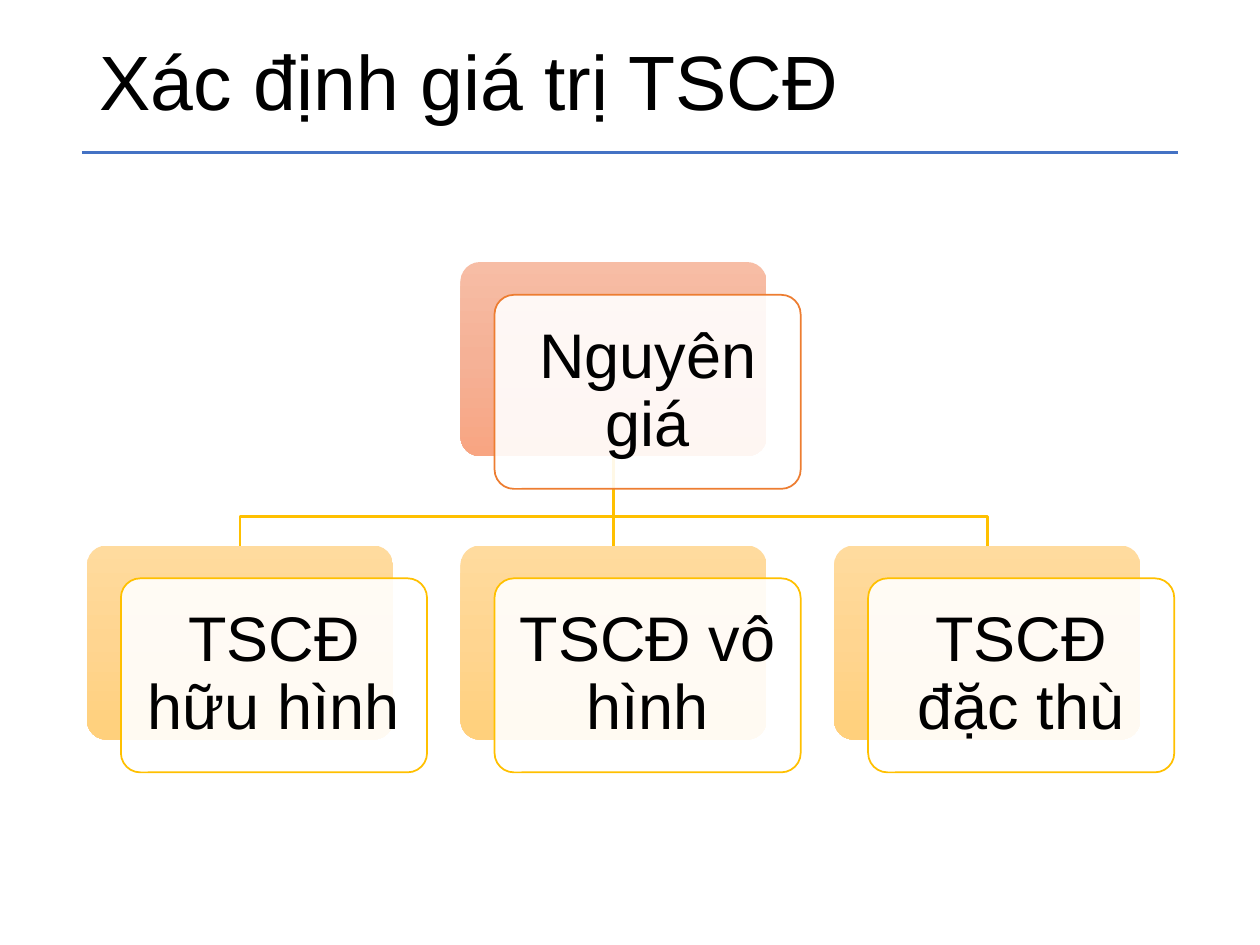
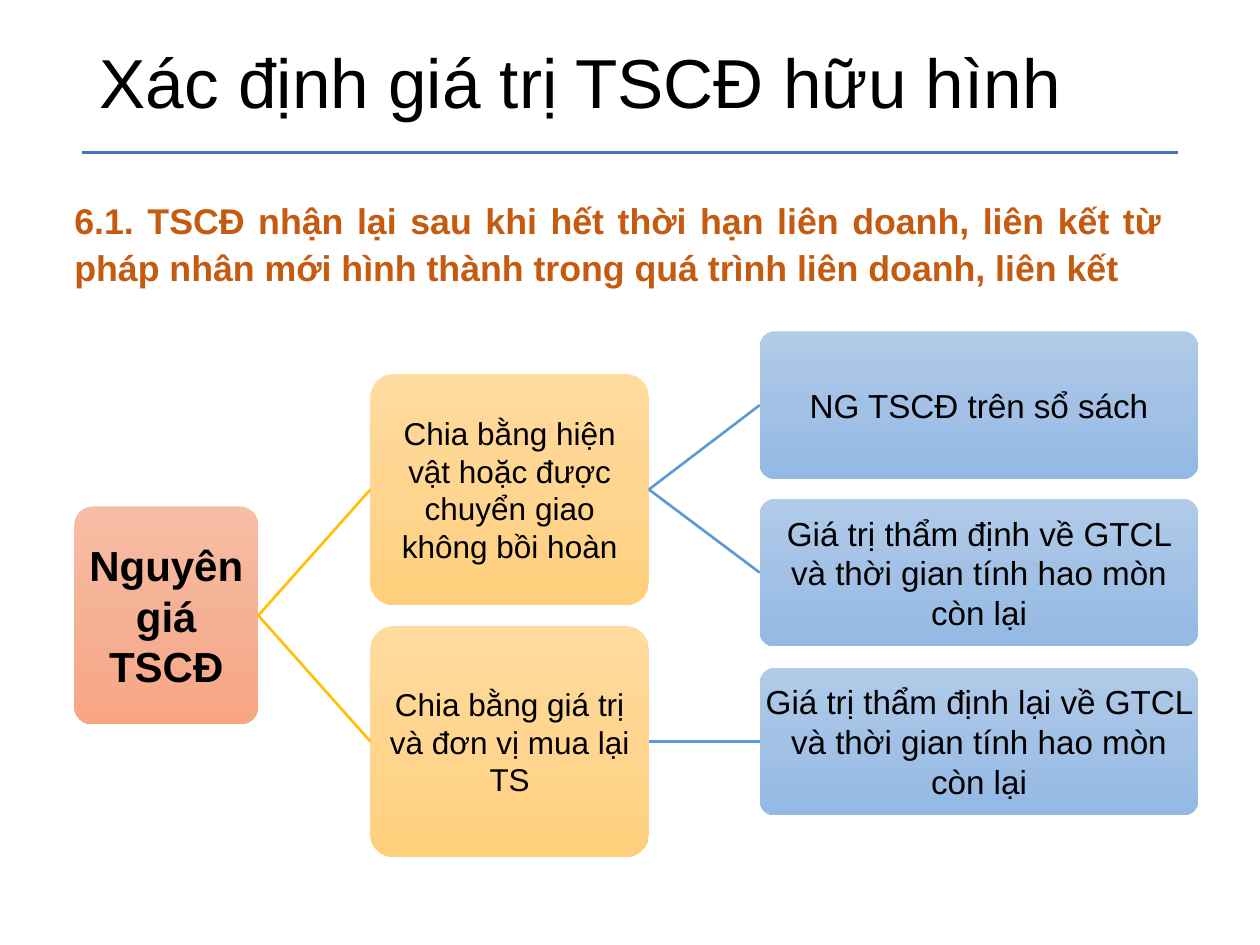
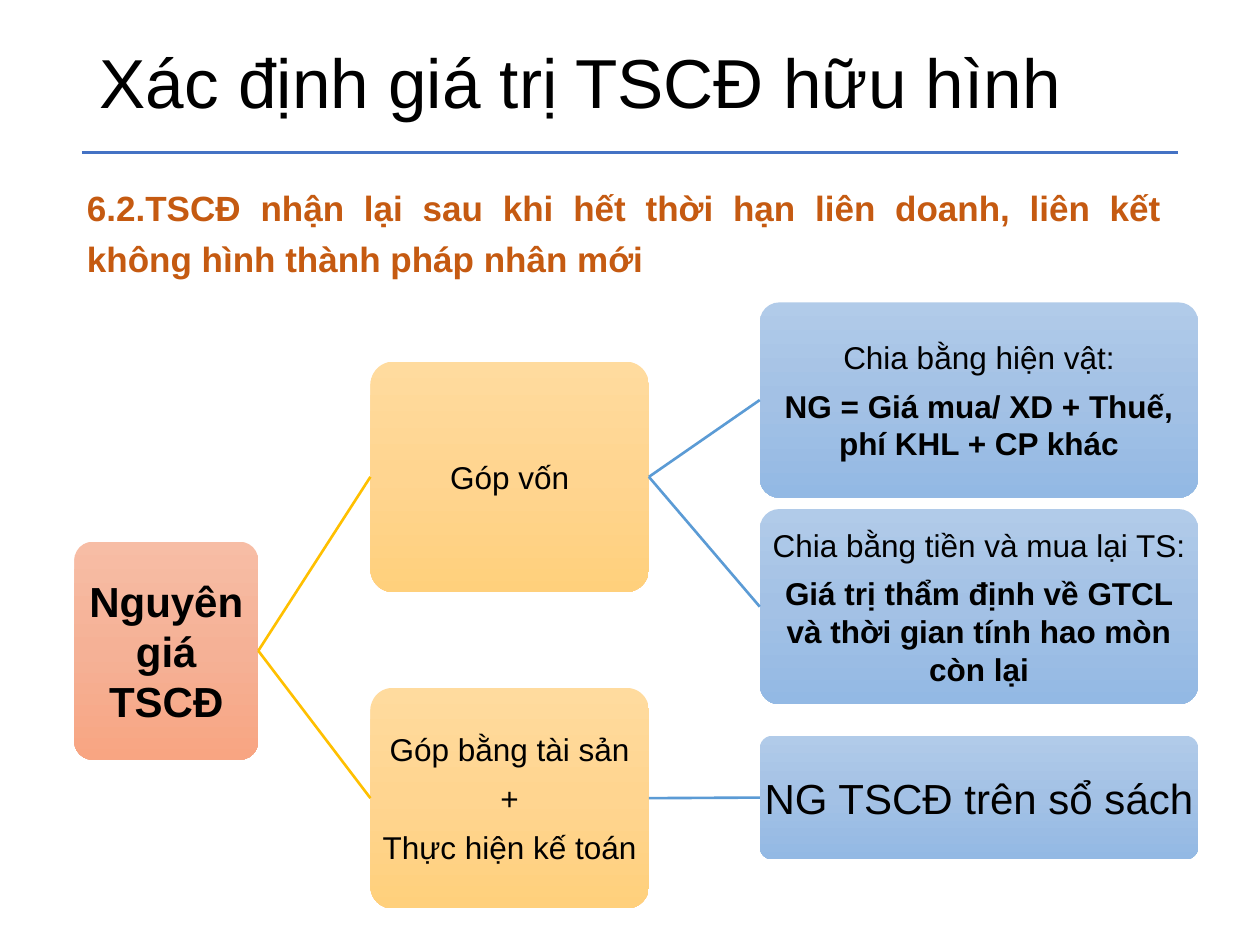
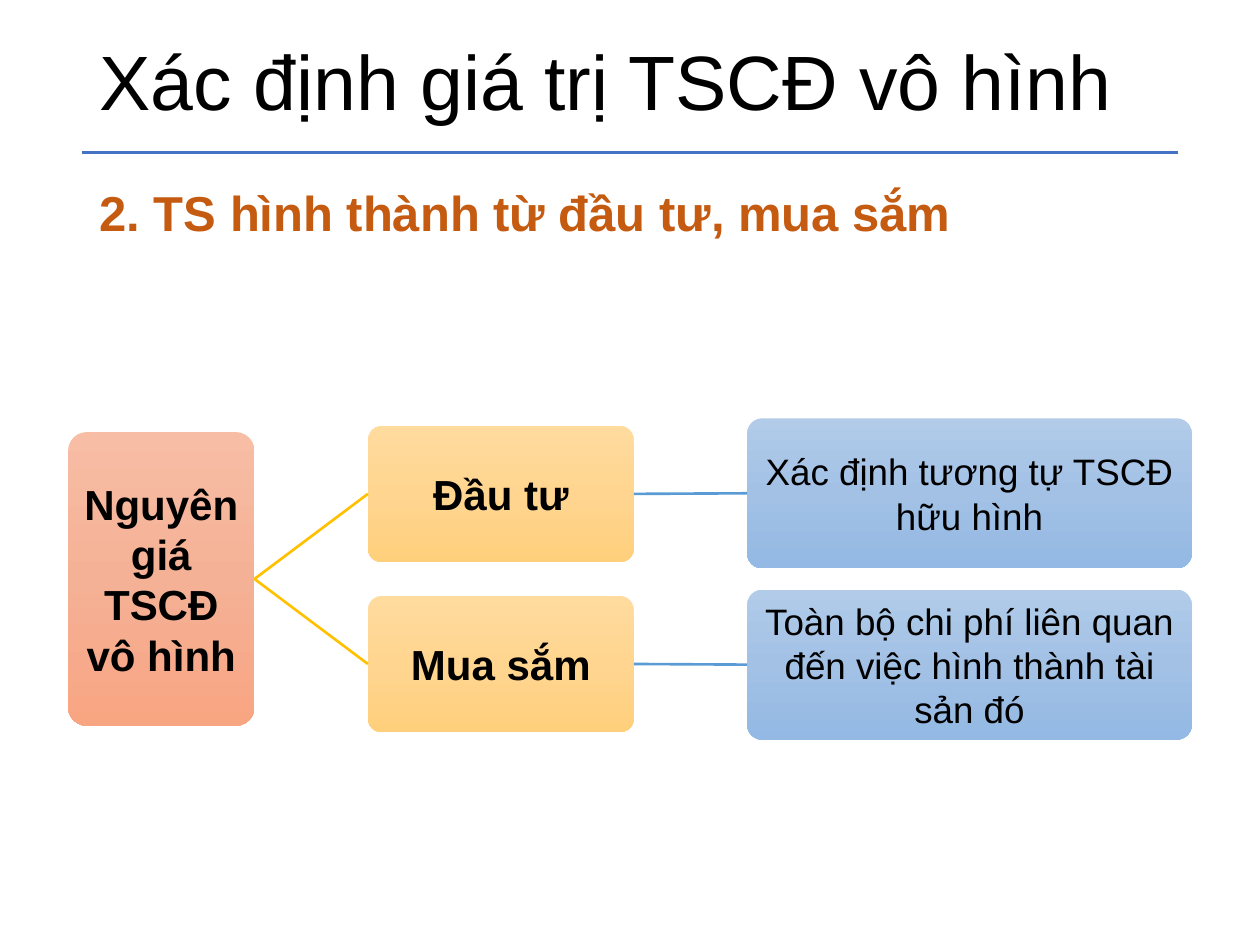
from copy import deepcopy
from dataclasses import dataclass

from lxml import etree
from pptx import Presentation
from pptx.dml.color import RGBColor
from pptx.enum.shapes import MSO_CONNECTOR, MSO_SHAPE
from pptx.enum.text import MSO_ANCHOR, MSO_AUTO_SIZE, PP_ALIGN
from pptx.oxml.ns import qn
from pptx.util import Inches, Pt

ROUNDED = MSO_SHAPE.ROUNDED_RECTANGLE
STRAIGHT = MSO_CONNECTOR.STRAIGHT
LEFT, CENTER, JUSTIFY = PP_ALIGN.LEFT, PP_ALIGN.CENTER, PP_ALIGN.JUSTIFY
TOP, MIDDLE = MSO_ANCHOR.TOP, MSO_ANCHOR.MIDDLE
NO_AUTOFIT = MSO_AUTO_SIZE.NONE
SIDE_TOP, SIDE_LEFT, SIDE_BOTTOM, SIDE_RIGHT = range(4)


@dataclass(frozen=True)
class Theme:
    font: str = "Arial"
    text: str = "000000"
    heading: str = "C55A11"
    card: str = "FFFFFF"
    rule: str = "4472C4"
    orange_line: str = "ED7D31"
    gold_line: str = "FFC000"
    blue_line: str = "5B9BD5"
    orange: tuple = ("F7BDA5", "F5B196", "F8A582")
    gold: tuple = ("FFDB9E", "FFD590", "FFD07C")
    blue: tuple = ("B1CBE9", "A3C1E5", "93B9E4")
    title_size: float = 44
    long_title_size: float = 39.6
    card_size: float = 36
    node_size: float = 24
    line_width: float = 1.5


T = Theme()


def add_box(slide, at, gradient=None, outline=None, lines=(), size=18, margin=0.02, spacing=1.0):
    """Rounded box, filled with a gradient or see-through white; lines are (text, bold) pairs."""
    sp = slide.shapes.add_shape(ROUNDED, *map(Inches, at))
    sp.adjustments[0] = 0.1
    sp.shadow.inherit = False
    if gradient:
        sp.fill.gradient()
        sp.fill.gradient_angle = 270
        stops = sp.element.spPr.find(qn("a:gradFill")).find(qn("a:gsLst"))
        stops.insert(1, deepcopy(stops[0]))
        for i, stop in enumerate(sp.fill.gradient_stops):
            stop.position = i / 2
            stop.color.rgb = RGBColor.from_string(gradient[i])
    else:
        sp.fill.solid()
        sp.fill.fore_color.rgb = RGBColor.from_string(T.card)
        white = sp.element.spPr.find(qn("a:solidFill"))[0]
        etree.SubElement(white, qn("a:alpha"), val="90000")
    if outline:
        sp.line.color.rgb = RGBColor.from_string(outline)
        sp.line.width = Pt(1)
    else:
        sp.line.fill.background()
    if lines:
        tf = sp.text_frame
        tf.word_wrap = True
        tf.vertical_anchor = MIDDLE
        tf.margin_left = tf.margin_right = tf.margin_top = tf.margin_bottom = Inches(margin)
        tf.text = "\n".join(text for text, _ in lines)
        for p, (_, bold) in zip(tf.paragraphs, lines):
            p.alignment = CENTER
            p.line_spacing = spacing
            r = p.runs[0]
            r.font.name, r.font.size, r.font.bold = T.font, Pt(size), bold
            r.font.color.rgb = RGBColor.from_string(T.text)
        for p in tf.paragraphs[:-1]:
            p.space_after = Pt(0.35 * size)
    return sp


def add_link(slide, color, start=(0, 0), end=(0, 0)):
    line = slide.shapes.add_connector(STRAIGHT, *map(Inches, (*start, *end)))
    line.line.color.rgb = RGBColor.from_string(color)
    line.line.width = Pt(T.line_width)
    etree.SubElement(line.element.spPr, qn("a:effectLst"))
    return line


prs = Presentation()
prs.slide_width, prs.slide_height = Inches(10), Inches(7.5)
title_only, title_body = prs.slide_layouts[5], prs.slide_layouts[1]

titles = [
    ("Xác định giá trị TSCĐ", T.title_size, title_only),
    ("Xác định giá trị TSCĐ hữu hình", T.long_title_size, title_body),
    ("Xác định giá trị TSCĐ hữu hình", T.long_title_size, title_body),
    ("Xác định giá trị TSCĐ vô hình", T.title_size, title_body),
]
for text, size, layout in titles:
    title = prs.slides.add_slide(layout).shapes.title
    title.left, title.top, title.width, title.height = map(Inches, (0.69, 0.15, 8.62, 1.06))
    tf = title.text_frame
    tf.text = text
    tf.auto_size = NO_AUTOFIT
    tf.vertical_anchor = MIDDLE
    p = tf.paragraphs[0]
    p.alignment = LEFT
    p.line_spacing = 0.9
    r = p.runs[0]
    r.font.name, r.font.size = T.font, Pt(size)
    r.font.color.rgb = RGBColor.from_string(T.text)

# The rule under the title belongs to the master
rule = add_link(prs.slides[0], T.rule, (0.65, 1.21), (9.35, 1.21))
rule.element.nvCxnSpPr.cNvPr.set("id", "20")
prs.slide_master.shapes.element.append(rule.element)

# Slide 1: one parent card over three child cards
slide = prs.slides[0]
card_w, card_h, pitch = 2.43, 1.54, 2.965
child_xs = [0.69 + i * pitch for i in range(3)]
parent_y, child_y, bend_y = 2.08, 4.33, 4.1
mid_x = child_xs[1] + card_w / 2
cards = [(child_xs[1], parent_y, "Nguyên giá", T.orange, T.orange_line)]
for x, text in zip(child_xs, ("TSCĐ hữu hình", "TSCĐ vô hình", "TSCĐ đặc thù")):
    cards.append((x, child_y, text, T.gold, T.gold_line))

plates = [add_box(slide, (x, y, card_w, card_h), gradient) for x, y, _, gradient, _ in cards]
stem = add_link(slide, T.gold_line)
stem.begin_connect(plates[0], SIDE_BOTTOM)
stem.end_connect(plates[2], SIDE_TOP)
for x in (child_xs[0], child_xs[2]):
    end_x = x + card_w / 2
    elbow = slide.shapes.build_freeform(Inches(mid_x), Inches(parent_y + card_h))
    corners = [(mid_x, bend_y), (end_x, bend_y), (end_x, child_y)]
    elbow.add_line_segments([(Inches(a), Inches(b)) for a, b in corners], close=False)
    sp = elbow.convert_to_shape()
    sp.shadow.inherit = False
    sp.fill.background()
    sp.line.color.rgb = RGBColor.from_string(T.gold_line)
    sp.line.width = Pt(T.line_width)
for x, y, text, _, outline in cards:
    add_box(slide, (x + 0.27, y + 0.26, card_w, card_h), outline=outline, lines=[(text, False)],
            size=T.card_size, margin=0.15, spacing=0.9)

# Slides 2 to 4: heading text, size, place, alignment, line spacing, anchor
headings = [
    ("6.1. TSCĐ nhận lại sau khi hết thời hạn liên doanh, liên kết từ pháp nhân mới "
     "hình thành trong quá trình liên doanh, liên kết",
     20.4, (0.49, 1.33, 8.83, 1.17), JUSTIFY, 1.1, MIDDLE),
    ("6.2.TSCĐ nhận lại sau khi hết thời hạn liên doanh, liên kết không hình thành "
     "pháp nhân mới",
     20, (0.59, 1.23, 8.73, 1.17), JUSTIFY, 1.2, MIDDLE),
    ("2. TS hình thành từ đầu tư, mua sắm",
     28, (0.69, 1.45, 8.62, 0.6), LEFT, 0.9, TOP),
]
for number, (text, size, at, align, spacing, anchor) in enumerate(headings, 1):
    body = prs.slides[number].placeholders[1]
    body.left, body.top, body.width, body.height = map(Inches, at)
    tf = body.text_frame
    tf.text = text
    tf.auto_size = NO_AUTOFIT
    tf.vertical_anchor = anchor
    p = tf.paragraphs[0]
    p.alignment = align
    p.line_spacing = spacing
    p.space_before = Pt(0)
    pPr = p._p.get_or_add_pPr()
    pPr.set("marL", "0")
    pPr.set("indent", "0")
    etree.SubElement(pPr, qn("a:buNone"))
    r = p.runs[0]
    r.font.name, r.font.size, r.font.bold = T.font, Pt(size), True
    r.font.color.rgb = RGBColor.from_string(T.heading)

# Trees: columns as (x, width); root, branches and leaves as (y, height, size, lines)
wide_columns = [(0.59, 1.46), (2.94, 2.21), (6.03, 3.48)]
root_lines = [("Nguyên giá TSCĐ", True)]
trees = [
    (wide_columns, (4.02, 1.73, T.node_size, root_lines), [
        ((2.97, 1.83, 18, [("Chia bằng hiện vật hoặc được chuyển giao không bồi hoàn", False)]), [
            (2.63, 1.17, 19, [("NG TSCĐ trên sổ sách", False)]),
            (3.96, 1.17, 19,
             [("Giá trị thẩm định về GTCL và thời gian tính hao mòn còn lại", False)]),
        ]),
        ((4.97, 1.83, 18, [("Chia bằng giá trị và đơn vị mua lại TS", False)]), [
            (5.3, 1.17, 19,
             [("Giá trị thẩm định lại về GTCL và thời gian tính hao mòn còn lại", False)]),
        ]),
    ]),
    (wide_columns, (4.3, 1.73, T.node_size, root_lines), [
        ((2.87, 1.83, 18, [("Góp vốn", False)]), [
            (2.4, 1.55, 18, [("Chia bằng hiện vật:", False),
                             ("NG = Giá mua/ XD + Thuế, phí KHL + CP khác", True)]),
            (4.04, 1.55, 18,
             [("Chia bằng tiền và mua lại TS:", False),
              ("Giá trị thẩm định về GTCL và thời gian tính hao mòn còn lại", True)]),
        ]),
        ((5.46, 1.75, 18,
          [("Góp bằng tài sản", False), ("+", False), ("Thực hiện kế toán", False)]), [
            (5.84, 0.98, T.node_size, [("NG TSCĐ trên sổ sách", False)]),
        ]),
    ]),
    ([(0.54, 1.48), (2.92, 2.11), (5.93, 3.53)],
     (3.43, 2.33, T.node_size, [("Nguyên giá TSCĐ vô hình", True)]), [
        ((3.38, 1.08, T.node_size, [("Đầu tư", True)]), [
            (3.32, 1.19, 21, [("Xác định tương tự TSCĐ hữu hình", False)]),
        ]),
        ((4.73, 1.08, T.node_size, [("Mua sắm", True)]), [
            (4.68, 1.19, 21,
             [("Toàn bộ chi phí liên quan đến việc hình thành tài sản đó", False)]),
        ]),
    ]),
]
for number, (columns, root, branches) in enumerate(trees, 1):
    slide = prs.slides[number]
    # Each node: column, fill, link colour, content, index of its parent
    nodes = [(0, T.orange, None, root, None)]
    for branch, leaves in branches:
        nodes.append((1, T.gold, T.gold_line, branch, 0))
        parent = len(nodes) - 1
        nodes += [(2, T.blue, T.blue_line, leaf, parent) for leaf in leaves]
    boxes = []
    for column, gradient, link_color, (y, h, size, lines), parent in nodes:
        x, w = columns[column]
        box = add_box(slide, (x, y, w, h), gradient, lines=lines, size=size, margin=0.01)
        boxes.append(box)
        if parent is not None:
            link = add_link(slide, link_color)
            link.begin_connect(boxes[parent], SIDE_RIGHT)
            link.end_connect(box, SIDE_LEFT)

prs.save("out.pptx")
